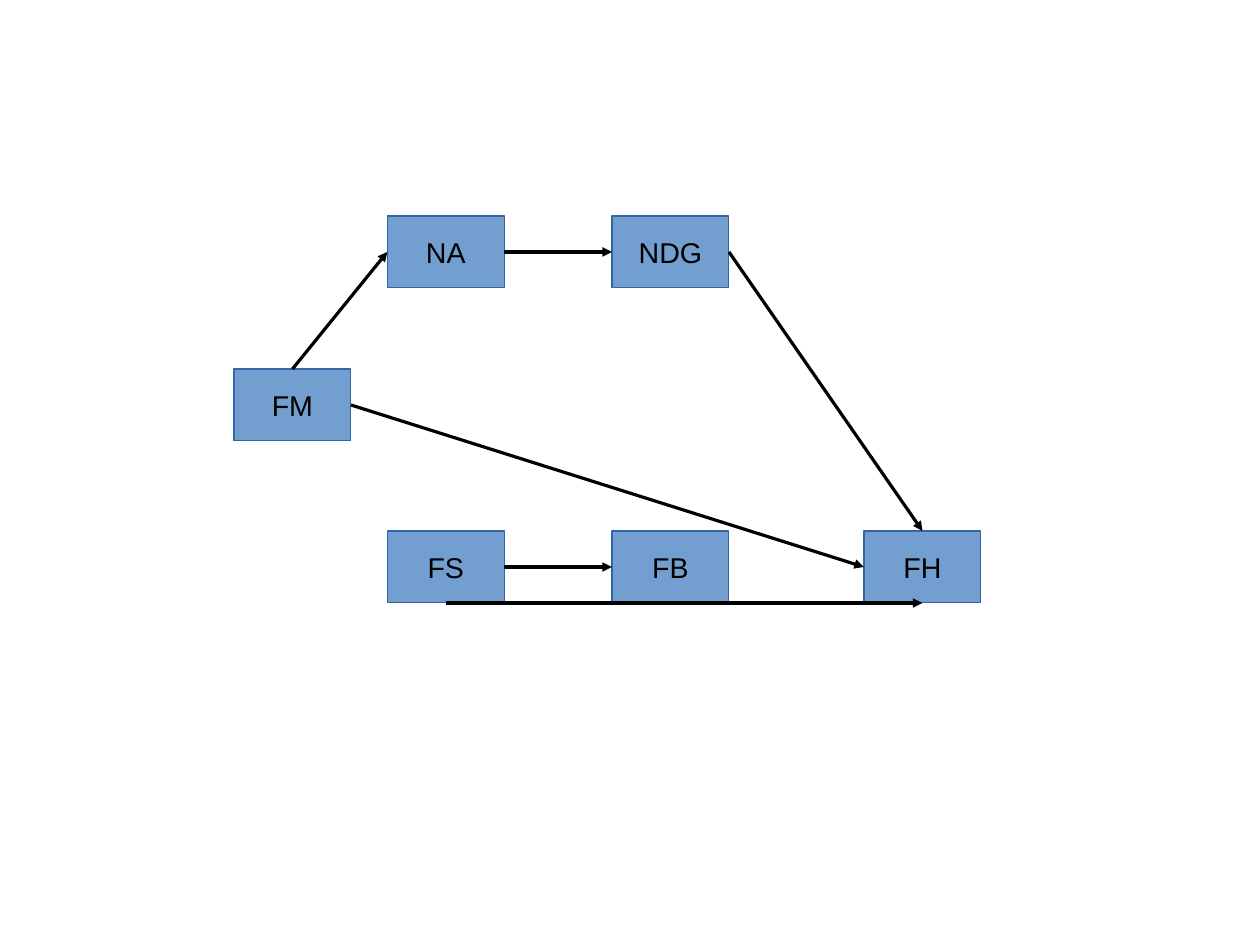
from dataclasses import dataclass

from lxml import etree
from pptx import Presentation
from pptx.dml.color import RGBColor
from pptx.enum import shapes, text
from pptx.oxml import ns
from pptx.util import Pt

COLORS = {"fill": "729FCF", "border": "3465A4", "ink": "000000"}
BOX_W, BOX_H = 73.7, 45.35
HAIRLINE = Pt(0)
TOP, LEFT, BOTTOM, RIGHT = range(4)

# Columns and rows of the diagram
COLS = (147.4, 244, 385.5, 544.25)
ROWS = (136.05, 232.45, 334.5)


@dataclass
class Node:
    label: str
    col: int
    row: int


@dataclass
class Arrow:
    start: str
    start_side: int
    end: str
    end_side: int


NODES = (
    Node("FS", 1, 2),
    Node("FH", 3, 2),
    Node("FB", 2, 2),
    Node("FM", 0, 1),
    Node("NA", 1, 0),
    Node("NDG", 2, 0),
)
ARROWS = (
    Arrow("FM", TOP, "NA", LEFT),
    Arrow("NA", RIGHT, "NDG", LEFT),
    Arrow("NDG", RIGHT, "FH", TOP),
    Arrow("FM", RIGHT, "FH", LEFT),
    Arrow("FS", BOTTOM, "FH", BOTTOM),
    Arrow("FS", RIGHT, "FB", LEFT),
)


def color(name: str) -> RGBColor:
    return RGBColor.from_string(COLORS[name])


def draw_node(s, node: Node):
    sp = s.shapes.add_shape(
        shapes.MSO_SHAPE.RECTANGLE,
        Pt(COLS[node.col]), Pt(ROWS[node.row]), Pt(BOX_W), Pt(BOX_H),
    )
    sp.shadow.inherit = False
    sp.fill.solid()
    sp.fill.fore_color.rgb = color("fill")
    sp.line.color.rgb = color("border")
    sp.line.width = HAIRLINE
    tf = sp.text_frame
    tf.word_wrap = False
    tf.vertical_anchor = text.MSO_ANCHOR.MIDDLE
    p = tf.paragraphs[0]
    p.alignment = text.PP_ALIGN.CENTER
    r = p.add_run()
    r.text = node.label
    r.font.name = "Arial"
    r.font.size = Pt(18)
    r.font.color.rgb = color("ink")
    return sp


def draw_arrow(s, arrow: Arrow, boxes: dict) -> None:
    cxn = s.shapes.add_connector(shapes.MSO_CONNECTOR.STRAIGHT, 0, 0, 0, 0)
    cxn.begin_connect(boxes[arrow.start], arrow.start_side)
    cxn.end_connect(boxes[arrow.end], arrow.end_side)
    cxn.line.color.rgb = color("ink")
    cxn.line.width = HAIRLINE
    # Arrowhead, and no shadow
    ln = cxn.line._get_or_add_ln()
    etree.SubElement(ln, ns.qn("a:tailEnd"), type="triangle")
    etree.SubElement(cxn._element.spPr, ns.qn("a:effectLst"))


def main() -> None:
    prs = Presentation()
    prs.slide_width, prs.slide_height = Pt(793.7), Pt(595.3)
    s = prs.slides.add_slide(prs.slide_layouts[6])

    # Boxes first, then the arrows that join them
    boxes = {node.label: draw_node(s, node) for node in NODES}
    for arrow in ARROWS:
        draw_arrow(s, arrow, boxes)

    prs.save("out.pptx")


if __name__ == "__main__":
    main()
